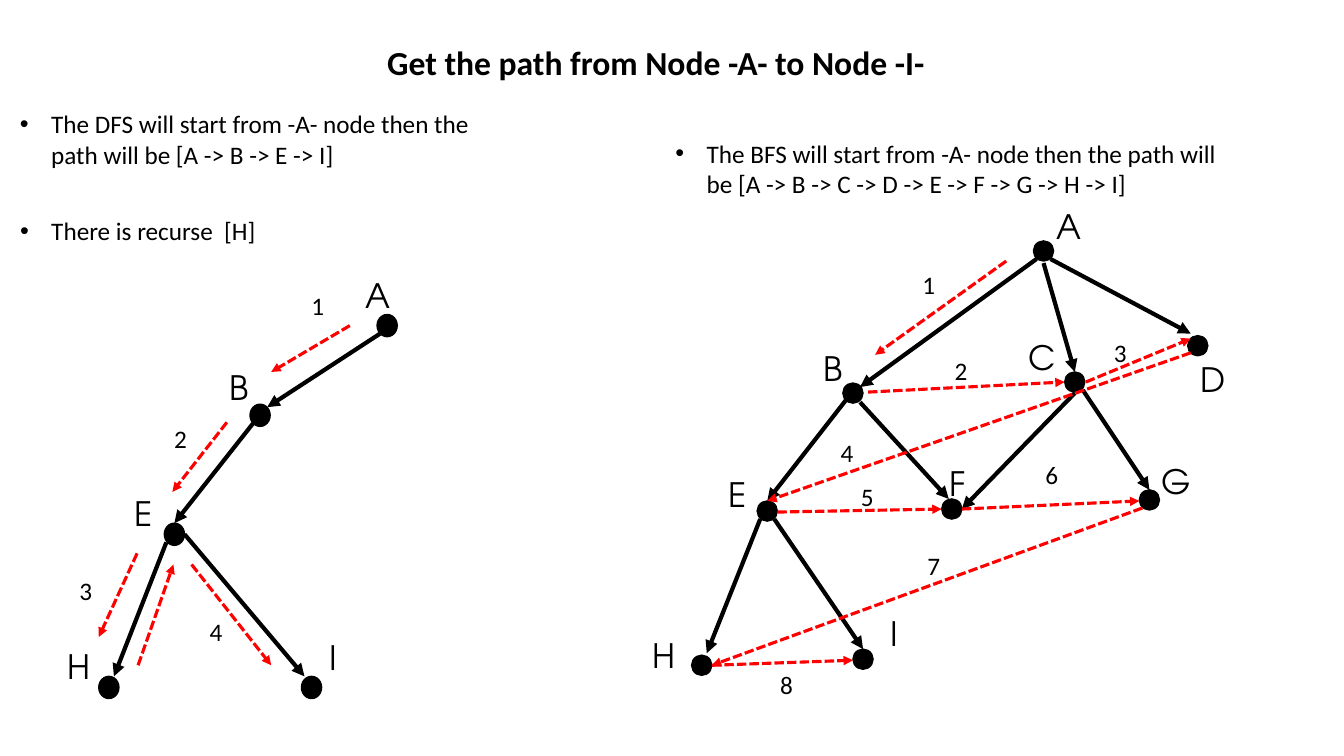
from lxml import etree
from pptx import Presentation
from pptx.dml.color import RGBColor
from pptx.enum.dml import MSO_LINE
from pptx.enum.shapes import MSO_CONNECTOR, MSO_SHAPE
from pptx.enum.text import MSO_ANCHOR, PP_ALIGN
from pptx.oxml.ns import qn
from pptx.util import Inches, Pt

STRAIGHT = MSO_CONNECTOR.STRAIGHT
OVAL = MSO_SHAPE.OVAL
DASH = MSO_LINE.SQUARE_DOT
TOP = MSO_ANCHOR.TOP
LEFT = PP_ALIGN.LEFT

COLORS = {"ink": "000000", "visit": "FF0000"}
BODY_FONT = "Calibri"
NODE_FONT = "TeX Gyre Adventor"

prs = Presentation()
prs.slide_width = Inches(13.33)
prs.slide_height = Inches(7.5)
slide = prs.slides.add_slide(prs.slide_layouts[5])


def write(shape, text, size, font, bold=False):
    frame = shape.text_frame
    frame.word_wrap = True
    frame.vertical_anchor = TOP
    paragraph = frame.paragraphs[0]
    paragraph.alignment = LEFT
    run = paragraph.add_run()
    run.text = text
    run.font.size = Pt(size)
    run.font.name = font
    run.font.bold = bold
    run.font.color.rgb = RGBColor.from_string(COLORS["ink"])
    return paragraph


def add_arrow(ends, color, width):
    arrow = slide.shapes.add_connector(STRAIGHT, *[Inches(v) for v in ends])
    arrow.line.color.rgb = RGBColor.from_string(COLORS[color])
    arrow.line.width = Pt(width)
    properties = arrow._element.spPr
    etree.SubElement(properties, qn("a:effectLst"))
    etree.SubElement(properties.find(qn("a:ln")), qn("a:tailEnd"), type="triangle")
    return arrow


title = slide.shapes.title
title.left, title.top = Inches(3.74), Inches(0.37)
title.width, title.height = Inches(6.07), Inches(0.5)
write(title, "Get the path from Node -A- to Node -I-", 24, BODY_FONT, True)

statements = [
    ("The DFS will start from -A- node then the path will be [A -> B -> E -> I]",
     0.1, 1.03, 5.1, 0.71),
    ("There is recurse  [H]", 0.1, 2.09, 2.88, 0.4),
    ("The BFS will start from -A- node then the path will be "
     "[A -> B -> C -> D -> E -> F -> G -> H -> I]", 6.6, 1.32, 5.59, 0.71),
]
for text, *place in statements:
    statement = slide.shapes.add_textbox(*[Inches(v) for v in place])
    bullet = write(statement, text, 18, BODY_FONT)._p.get_or_add_pPr()
    bullet.set("marL", str(Inches(0.31)))
    bullet.set("indent", str(-Inches(0.31)))
    etree.SubElement(bullet, qn("a:buFont"), typeface="Arial")
    etree.SubElement(bullet, qn("a:buChar"), char="•")

dfs = {
    "node_height": 0.22,
    "label_height": 0.52,
    "nodes": [
        ("A", 3.74, 3.12, 3.53, 2.68),
        ("B", 2.48, 4.01, 2.18, 3.59),
        ("E", 1.63, 5.19, 1.24, 4.84),
        ("H", 0.98, 6.71, 0.57, 6.36),
        ("I", 2.99, 6.71, 3.17, 6.27),
    ],
    "edges": [
        (3.77, 3.31, 2.65, 4.04),
        (2.51, 4.2, 1.73, 5.19),
        (1.65, 5.38, 1.13, 6.71),
        (1.83, 5.3, 3.02, 6.71),
    ],
    "visits": [
        (3.47, 3.23, 2.69, 3.69),
        (2.25, 4.19, 1.71, 4.88),
        (1.36, 5.49, 0.98, 6.32),
        (1.37, 6.6, 1.72, 5.6),
        (1.9, 5.6, 2.69, 6.6),
    ],
    "steps": [(2.99, 2.83), (1.63, 4.15), (0.69, 5.66), (1.98, 6.07)],
}
bfs = {
    "node_height": 0.2,
    "label_height": 0.5,
    "nodes": [
        ("A", 10.25, 2.39, 10.38, 1.99),
        ("B", 8.36, 3.8, 8.07, 3.4),
        ("C", 10.56, 3.69, 10.1, 3.29),
        ("D", 11.78, 3.33, 11.81, 3.51),
        ("E", 7.51, 4.97, 7.13, 4.65),
        ("F", 9.34, 4.95, 9.32, 4.54),
        ("G", 11.3, 4.86, 11.42, 4.52),
        ("H", 6.86, 6.5, 6.37, 6.25),
        ("I", 8.46, 6.44, 8.73, 6.03),
    ],
    "edges": [
        (10.28, 2.57, 8.53, 3.84),
        (10.35, 2.61, 10.66, 3.69),
        (10.42, 2.57, 11.81, 3.31),
        (8.39, 3.97, 7.61, 4.97),
        (8.53, 3.99, 9.41, 4.95),
        (10.66, 3.9, 9.54, 5.05),
        (10.74, 3.87, 11.4, 4.86),
        (7.54, 5.15, 7.01, 6.48),
        (7.68, 5.15, 8.56, 6.44),
    ],
    "visits": [
        (9.98, 2.59, 8.68, 3.52),
        (8.61, 3.89, 10.56, 3.79),
        (10.77, 3.79, 11.81, 3.36),
        (11.81, 3.5, 7.61, 4.97),
        (7.71, 5.08, 9.34, 5.05),
        (9.54, 5.05, 11.3, 4.97),
        (11.33, 5.04, 7.06, 6.6),
        (7.06, 6.6, 8.46, 6.55),
    ],
    "steps": [(9.05, 2.62), (9.37, 3.48), (10.95, 3.3), (8.24, 4.29),
              (8.44, 4.73), (10.27, 4.51), (9.1, 5.41), (7.64, 6.59)],
}

for tree in (dfs, bfs):
    for edge in tree["edges"]:
        add_arrow(edge, "ink", 3)
    for letter, x, y, label_x, label_y in tree["nodes"]:
        node = slide.shapes.add_shape(OVAL, Inches(x), Inches(y), Inches(0.2),
                                      Inches(tree["node_height"]))
        node.shadow.inherit = False
        node.fill.solid()
        node.fill.fore_color.rgb = RGBColor.from_string(COLORS["ink"])
        node.line.color.rgb = RGBColor.from_string(COLORS["ink"])
        node.line.width = Pt(1)
        label = slide.shapes.add_textbox(Inches(label_x), Inches(label_y), Inches(0.41),
                                         Inches(tree["label_height"]))
        write(label, letter, 24, NODE_FONT)
    for visit in tree["visits"]:
        add_arrow(visit, "visit", 2.25).line.dash_style = DASH
    for number, (x, y) in enumerate(tree["steps"], 1):
        step = slide.shapes.add_textbox(Inches(x), Inches(y), Inches(0.3), Inches(0.4))
        write(step, str(number), 18, BODY_FONT)

prs.save("out.pptx")
